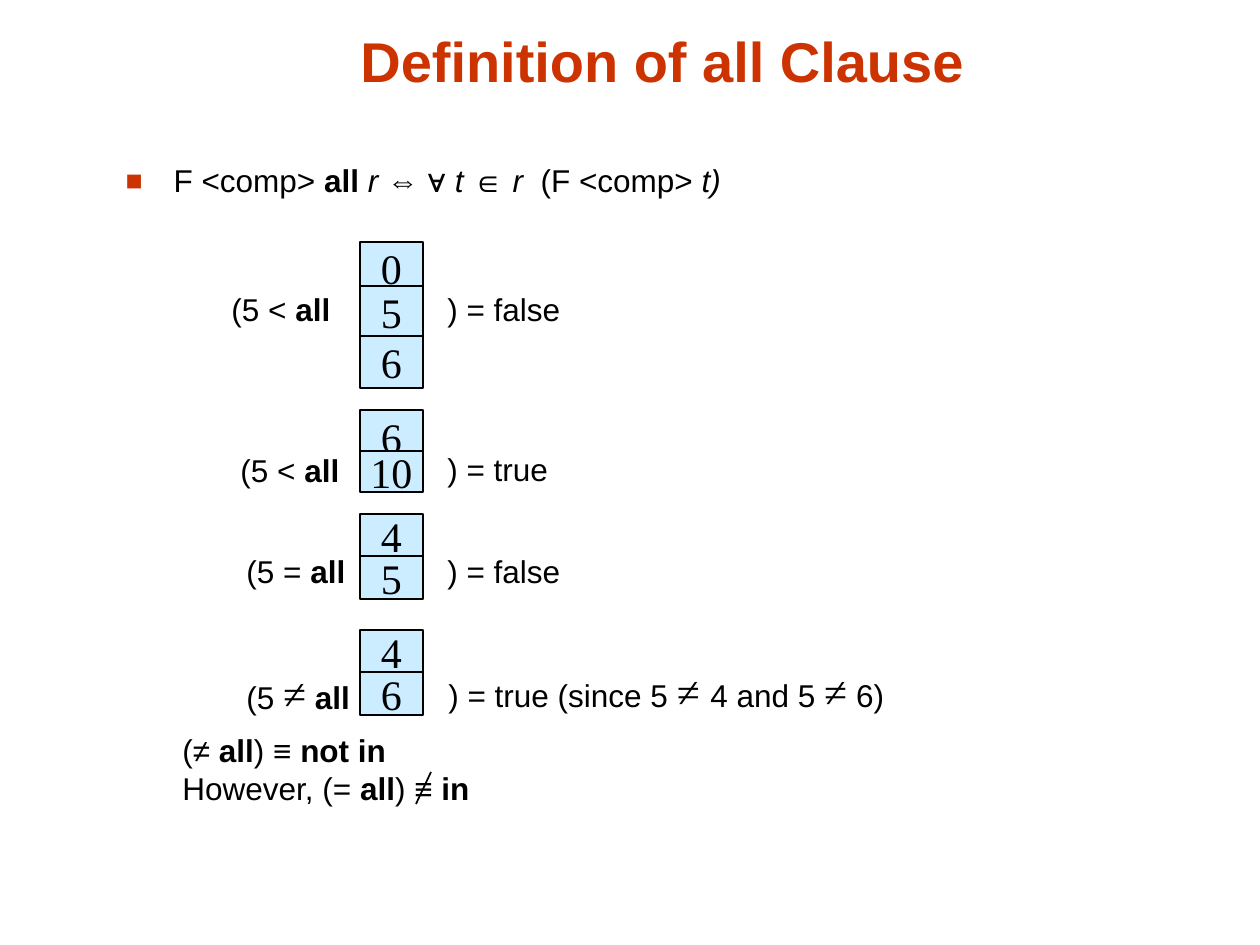
from pptx import Presentation
from pptx.dml.color import RGBColor
from pptx.enum.shapes import MSO_CONNECTOR, MSO_SHAPE
from pptx.enum.text import MSO_ANCHOR, MSO_AUTO_SIZE, PP_ALIGN
from pptx.oxml.ns import qn
from pptx.util import Emu, Pt
from lxml import etree

RECT = MSO_SHAPE.RECTANGLE
LINE = MSO_CONNECTOR.STRAIGHT
TOP, MID, BOTTOM = MSO_ANCHOR.TOP, MSO_ANCHOR.MIDDLE, MSO_ANCHOR.BOTTOM
LEFT, CENTER = PP_ALIGN.LEFT, PP_ALIGN.CENTER
FIXED = MSO_AUTO_SIZE.NONE

RED, BLUE, BLACK = "CC3300", "CCECFF", "000000"
SANS, SERIF = "Arial", "Times New Roman"

TITLE = [("Definition of all Clause", "b")]
RULE = [("F <comp> ", ""), ("all ", "b"), ("r ", "i"), ("⇔ ∀ ", ""),
        ("t ", "i"), ("∈", ""), (" r ", "i"), (" (F <comp> ", ""), ("t)", "i")]
CELLS = [("0", 242, 52), ("5", 286, 52), ("6", 336, 52),
         ("6", 410, 53), ("10", 451, 41),
         ("4", 514, 43), ("5", 556, 43),
         ("4", 630, 43), ("6", 672, 43)]
LABELS = [
    (219, 284, 168, [("(5 < ", ""), ("all", "b")]),
    (435, 284, 168, [(") = false", "")]),
    (228, 445, 168, [("(5 < ", ""), ("all", "b")]),
    (435, 444, 168, [(") = true", "")]),
    (234, 546, 168, [("(5 = ", ""), ("all", "b")]),
    (435, 546, 168, [(") = false", "")]),
    (234, 661, 231, [("(5 ", ""), ("≠", "s"), (" ", ""), ("all", "b")]),
    (436, 659, 630, [(") = true (since 5 ", ""), ("≠ ", "s"), ("4 and 5 ", ""),
                     ("≠", "s"), (" 6)", "")]),
]
NOTES = [
    [("(≠ ", ""), ("all", "b"), (") ≡ ", ""), ("not in", "b")],
    [("However, (= ", ""), ("all", "b"), (") ≡ ", ""), ("in", "b")],
]
SLASH = (431, 772, 416, 804)


def px(n):
    return Emu(round(n * 914400 / 126))


def rgb(code):
    return RGBColor.from_string(code)


def place(shape, x, y, w, h):
    shape.left, shape.top, shape.width, shape.height = map(px, (x, y, w, h))


def write(shape, lines, size=18, color=BLACK, align=LEFT, anchor=TOP, wrap=True):
    frame = shape.text_frame
    frame.auto_size = FIXED
    frame.word_wrap = wrap
    frame.vertical_anchor = anchor
    for i, runs in enumerate(lines):
        para = frame.add_paragraph() if i else frame.paragraphs[0]
        para.alignment = align
        para.space_before = Pt(0)
        for text, style in runs:
            run = para.add_run()
            run.text = text
            font = run.font
            font.name = SERIF if "s" in style else SANS
            font.size = Pt(24 if "s" in style else size)
            font.bold = "b" in style
            font.italic = "i" in style
            font.color.rgb = rgb(color)


def bullet(para, char, color, size, gap):
    props = para._p.get_or_add_pPr()
    props.set("marL", str(px(gap)))
    props.set("indent", str(-px(gap)))
    tint = etree.SubElement(props, qn("a:buClr"))
    etree.SubElement(tint, qn("a:srgbClr"), val=color)
    etree.SubElement(props, qn("a:buSzPct"), val=str(size * 1000))
    etree.SubElement(props, qn("a:buFont"), typeface=SANS)
    etree.SubElement(props, qn("a:buChar"), char=char)


def cell(slide, text, y, h):
    box = slide.shapes.add_shape(RECT, px(360), px(y), px(63), px(h))
    box.shadow.inherit = False
    box.fill.solid()
    box.fill.fore_color.rgb = rgb(BLUE)
    box.line.color.rgb = rgb(BLACK)
    box.line.width = Pt(1)
    write(box, [[(text, "s")]], align=CENTER, anchor=MID, wrap=False)


def label(slide, x, y, w, h, lines):
    write(slide.shapes.add_textbox(px(x), px(y), px(w), px(h)), lines)


def main():
    deck = Presentation()
    deck.slide_width, deck.slide_height = px(1260), px(945)
    slide = deck.slides.add_slide(deck.slide_layouts[1])
    title, body = slide.placeholders
    place(title, 106, 16, 1113, 84)
    write(title, [TITLE], 32, RED, CENTER, BOTTOM)
    place(body, 113, 155, 915, 53)
    write(body, [RULE])
    bullet(body.text_frame.paragraphs[0], "■", RED, 90, 48)
    for text, y, h in CELLS:
        cell(slide, text, y, h)
    for x, y, w, runs in LABELS:
        label(slide, x, y, w, 50, [runs])
    label(slide, 170, 725, 937, 98, NOTES)
    slash = slide.shapes.add_connector(LINE, *map(px, SLASH))
    slash.line.color.rgb = rgb(BLACK)
    slash.line.width = Pt(1)
    etree.SubElement(slash._element.spPr, qn("a:effectLst"))
    deck.save("out.pptx")


if __name__ == "__main__":
    main()
